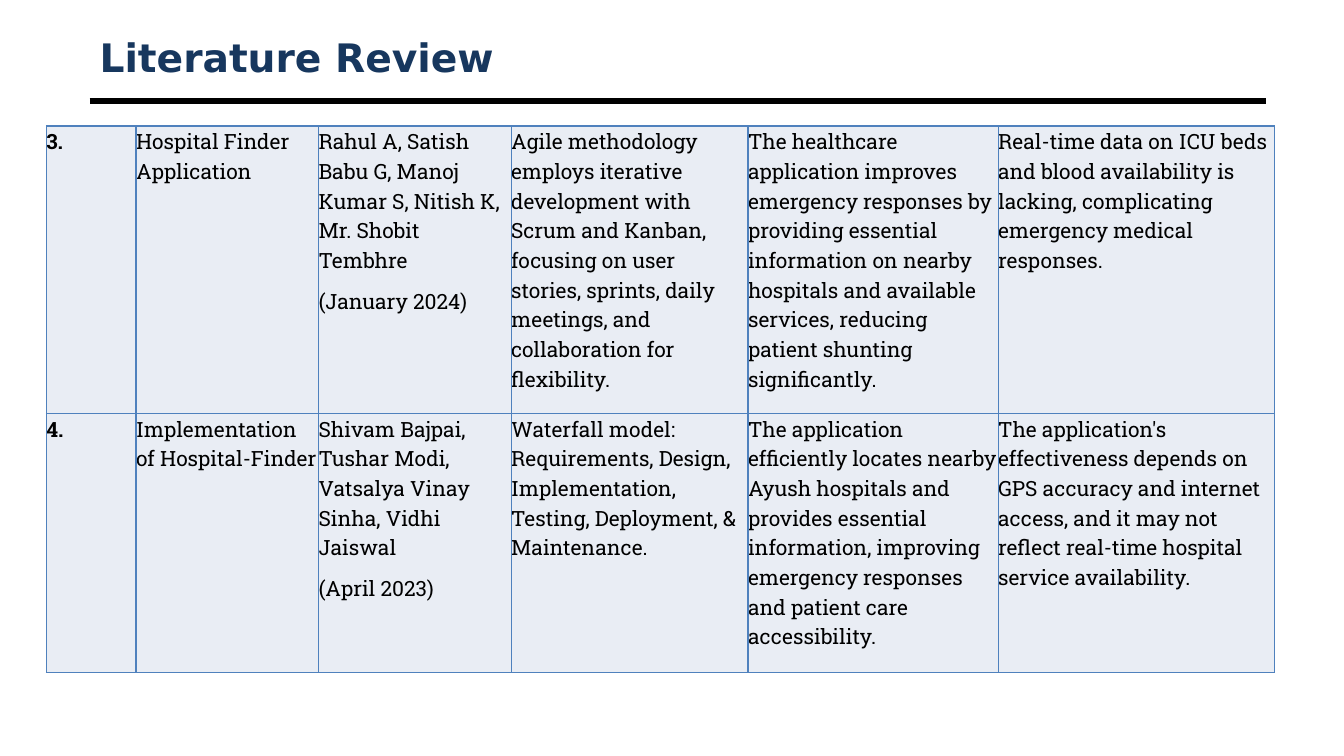
from dataclasses import dataclass

from lxml.etree import SubElement
from pptx import Presentation
from pptx.dml.color import RGBColor
from pptx.enum.shapes import MSO_CONNECTOR
from pptx.enum.text import MSO_ANCHOR
from pptx.oxml.ns import qn
from pptx.slide import Slide
from pptx.table import _Cell
from pptx.text.text import _Paragraph
from pptx.util import Inches, Pt

TITLE_FONT = "DejaVu Sans"
BODY_FONT = "Roboto Slab"
BLACK = "000000"
NAVY = "17375E"
BORDER_BLUE = "4F81BD"
CELL_FILL = "E9EDF4"
COLUMN_WIDTHS = (0.89, 1.81, 1.91, 2.35, 2.48, 2.74)


@dataclass
class Study:
    number: str
    title: str
    authors: str
    date: str
    method: str
    findings: str
    gap: str
    row_height: float

    def cells(self) -> list[list[str]]:
        """Paragraphs of each cell, from left to right."""
        return [[self.number], [self.title], [self.authors, self.date],
                [self.method], [self.findings], [self.gap]]


STUDIES = [
    Study(
        number="3.",
        title="Hospital Finder Application",
        authors="Rahul A, Satish Babu G, Manoj Kumar S, Nitish K, Mr. Shobit Tembhre",
        date="(January 2024)",
        method="Agile methodology employs iterative development with Scrum and Kanban, "
               "focusing on user stories, sprints, daily meetings, and collaboration "
               "for flexibility.",
        findings="The healthcare application improves emergency responses by providing "
                 "essential information on nearby hospitals and available services, "
                 "reducing patient shunting significantly.",
        gap="Real-time data on ICU beds and blood availability is lacking, "
            "complicating emergency medical responses.",
        row_height=2.85,
    ),
    Study(
        number="4.",
        title="Implementation of Hospital-Finder",
        authors="Shivam Bajpai, Tushar Modi, Vatsalya Vinay Sinha, Vidhi Jaiswal",
        date="(April 2023)",
        method="Waterfall model: Requirements, Design, Implementation, Testing, "
               "Deployment, & Maintenance.",
        findings="The application efficiently locates nearby Ayush hospitals and "
                 "provides essential information, improving emergency responses and "
                 "patient care accessibility.",
        gap="The application's effectiveness depends on GPS accuracy and internet "
            "access, and it may not reflect real-time hospital service availability.",
        row_height=2.57,
    ),
]


def color(value: str) -> RGBColor:
    return RGBColor.from_string(value)


def add_run(paragraph: _Paragraph, text: str, font: str, size: float,
            text_color: str, bold: bool) -> None:
    run = paragraph.add_run()
    run.text = text
    run.font.name = font
    run.font.size = Pt(size)
    run.font.bold = bold
    run.font.color.rgb = color(text_color)


def add_title(slide: Slide, text: str) -> None:
    box = slide.shapes.add_textbox(Inches(0.89), Inches(0.3), Inches(11.67), Inches(0.53))
    frame = box.text_frame
    frame.word_wrap = True
    frame.vertical_anchor = MSO_ANCHOR.MIDDLE
    add_run(frame.paragraphs[0], text, TITLE_FONT, 28, NAVY, True)


def add_rule(slide: Slide) -> None:
    rule = slide.shapes.add_connector(
        MSO_CONNECTOR.STRAIGHT, Inches(0.89), Inches(1), Inches(12.56), Inches(1))
    rule.line.color.rgb = color(BLACK)
    rule.line.width = Pt(4.5)
    SubElement(rule._element.spPr, qn("a:effectLst"))


def set_borders(cell: _Cell) -> None:
    properties = cell._tc.get_or_add_tcPr()
    for side in ("a:lnL", "a:lnR", "a:lnT", "a:lnB"):
        line = SubElement(properties, qn(side), w=str(Pt(1)))
        fill = SubElement(line, qn("a:solidFill"))
        SubElement(fill, qn("a:srgbClr"), val=BORDER_BLUE)


def fill_cell(cell: _Cell, texts: list[str], bold: bool) -> None:
    cell.margin_left = cell.margin_right = cell.margin_top = cell.margin_bottom = Inches(0)
    set_borders(cell)
    cell.fill.solid()
    cell.fill.fore_color.rgb = color(CELL_FILL)
    frame = cell.text_frame
    for index, text in enumerate(texts):
        paragraph = frame.add_paragraph() if index else frame.paragraphs[0]
        paragraph.line_spacing = 1.07
        paragraph.space_after = Pt(8)
        add_run(paragraph, text, BODY_FONT, 15, BLACK, bold)


def add_review_table(slide: Slide, studies: list[Study]) -> None:
    height = sum(study.row_height for study in studies)
    table = slide.shapes.add_table(
        len(studies), len(COLUMN_WIDTHS), Inches(0.46), Inches(1.25),
        Inches(sum(COLUMN_WIDTHS)), Inches(height)).table
    table.first_row = False
    table.horz_banding = False
    for column, width in zip(table.columns, COLUMN_WIDTHS):
        column.width = Inches(width)
    for row, study in zip(table.rows, studies):
        row.height = Inches(study.row_height)
        for index, (cell, texts) in enumerate(zip(row.cells, study.cells())):
            fill_cell(cell, texts, bold=index == 0)


def main() -> None:
    presentation = Presentation()
    presentation.slide_width = Inches(13.33)
    presentation.slide_height = Inches(7.5)
    slide = presentation.slides.add_slide(presentation.slide_layouts[6])

    # Heading
    add_rule(slide)
    add_title(slide, "Literature Review")

    # Reviewed studies
    add_review_table(slide, STUDIES)

    presentation.save("out.pptx")


if __name__ == "__main__":
    main()
